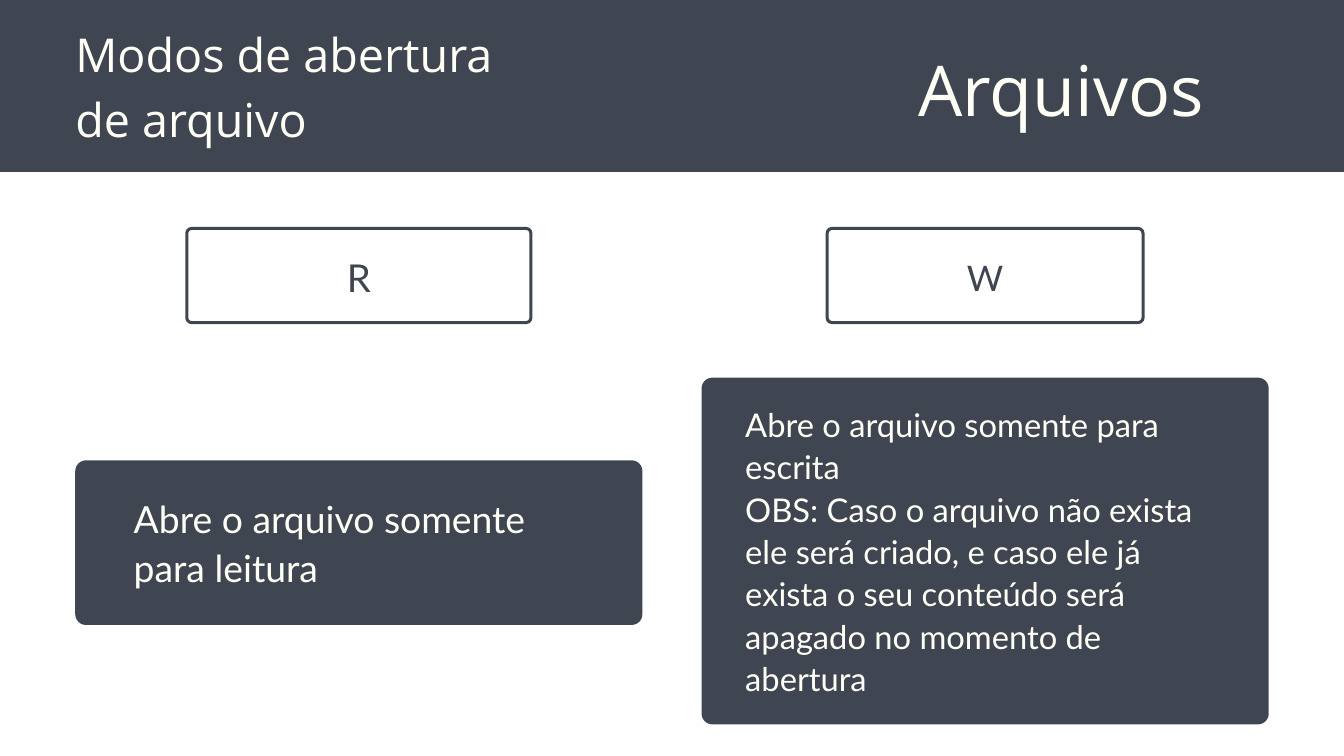
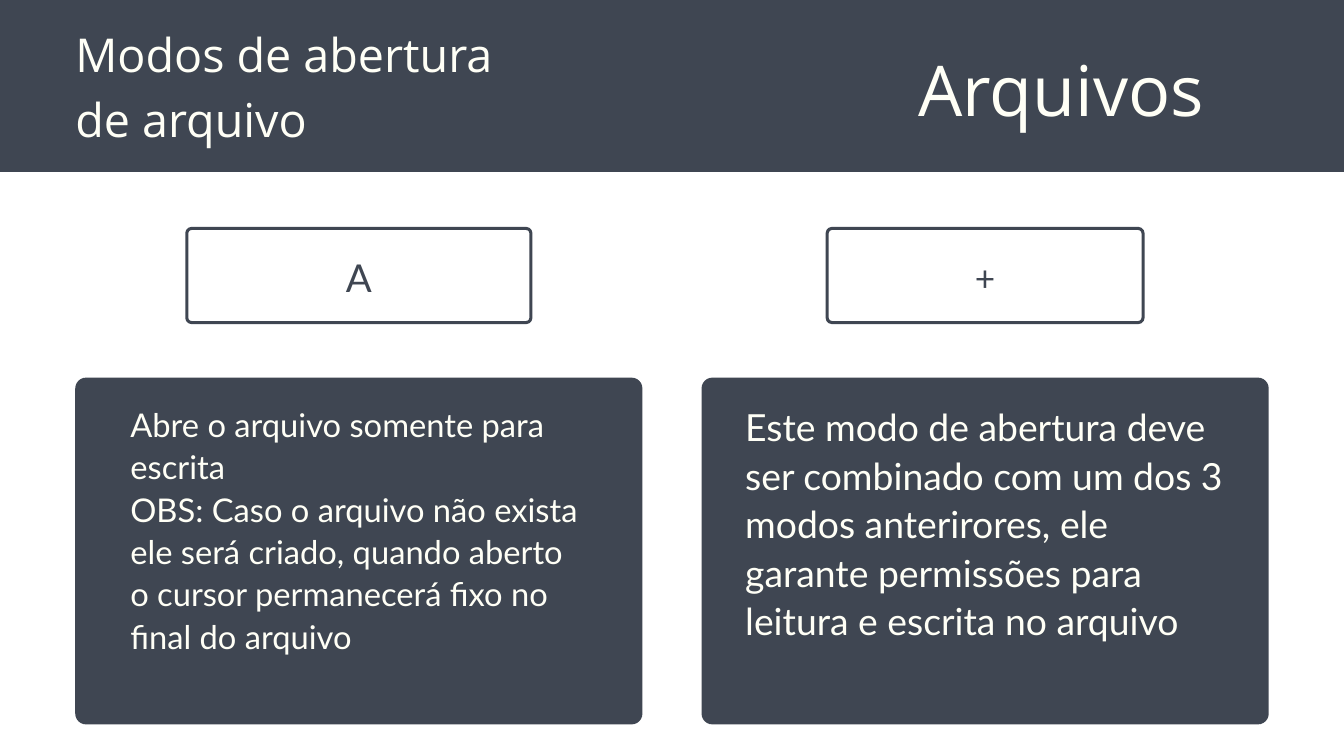
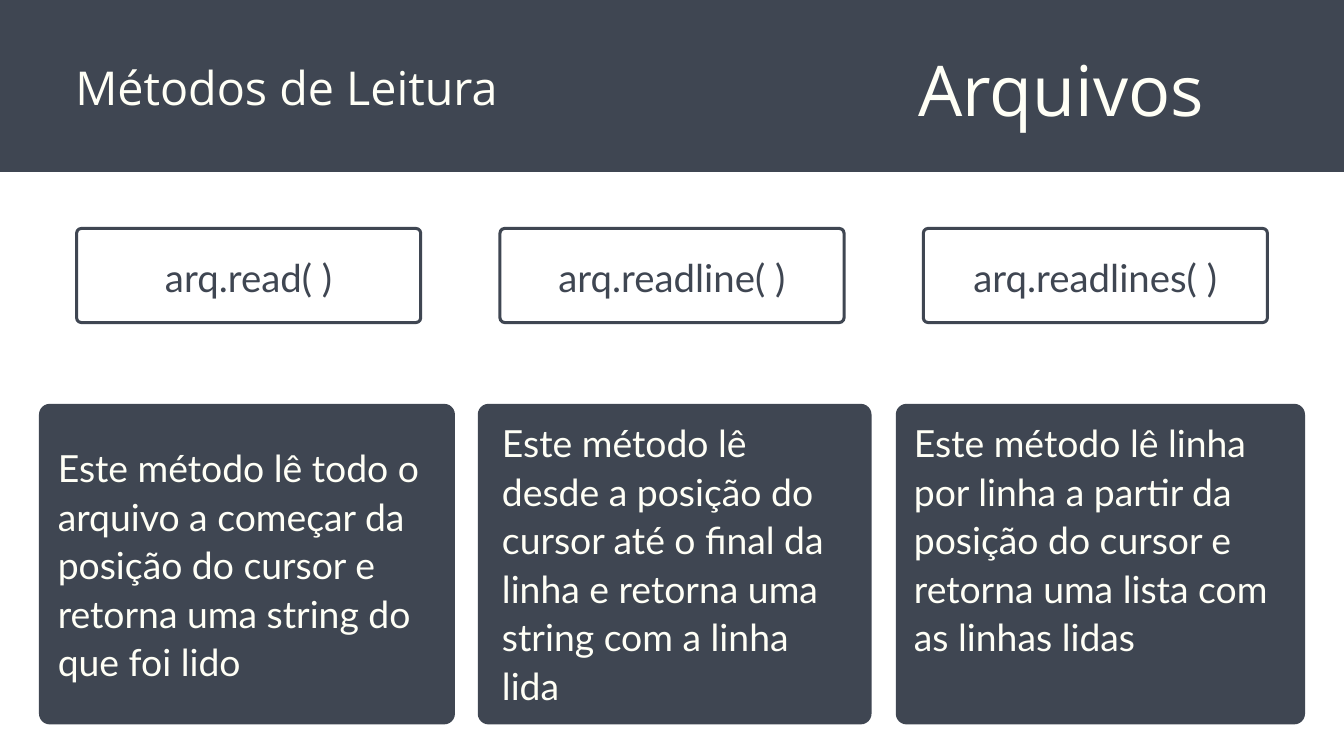
"""Build three slides on opening modes and reading methods for files."""
import pptx
import pptx.dml.color
import pptx.enum.shapes
import pptx.enum.text
import pptx.util

Inches = pptx.util.Inches
Anchor = pptx.enum.text.MSO_ANCHOR
Align = pptx.enum.text.PP_ALIGN
Preset = pptx.enum.shapes.MSO_SHAPE

SLATE = "3F4652"
IVORY = "FFFFF6"
HEADING_FONT = "Open Sans"
BODY_FONT = "Lato"
LABEL_TOP, LABEL_HEIGHT, LABEL_RADIUS = 3.4, 1.4, 0.07
CARD_BOTTOM, CARD_RADIUS = 10.78, 0.16
CORNER_INSET = 0.29 * CARD_RADIUS


def rgb(color):
    return pptx.dml.color.RGBColor.from_string(color)


def write(shape, paragraphs, font, size, color, spacing, align=Align.LEFT,
          anchor=Anchor.TOP, insets=(0, 0, 0, 0)):
    frame = shape.text_frame
    frame.word_wrap = True
    frame.auto_size = pptx.enum.text.MSO_AUTO_SIZE.NONE
    frame.vertical_anchor = anchor
    (frame.margin_left, frame.margin_top,
     frame.margin_right, frame.margin_bottom) = [Inches(inset) for inset in insets]
    for index, text in enumerate(paragraphs):
        paragraph = frame.add_paragraph() if index else frame.paragraphs[0]
        paragraph.alignment = align
        paragraph.line_spacing = pptx.util.Pt(round(size * spacing, 1))
        run = paragraph.add_run()
        run.text = text
        run.font.name = font
        run.font.size = pptx.util.Pt(size)
        run.font.color.rgb = rgb(color)


# label: text, left, width, size
# card: left, top, width, height; text: left, top, width, size
slides = [
    ("Modos de abertura de arquivo", [
        (("R", 2.78, 5.12, 41.1), (1.12, 6.85, 8.44, 2.45), (1.99, 7.33, 6.87, 40),
         ["Abre o arquivo somente para leitura"]),
        (("W", 12.31, 4.7, 37.7), (10.44, 5.62, 8.44, 5.16), (11.09, 5.97, 7.13, 35),
         ["Abre o arquivo somente para escrita",
          "OBS: Caso o arquivo não exista ele será criado, e caso ele já exista "
          "o seu conteúdo será apagado no momento de abertura"]),
    ]),
    ("Modos de abertura de arquivo", [
        (("A", 2.78, 5.12, 41.1), (1.12, 5.62, 8.44, 5.16), (1.94, 5.97, 6.8, 35),
         ["Abre o arquivo somente para escrita",
          "OBS: Caso o arquivo não exista ele será criado, quando aberto "
          "o cursor permanecerá fixo no final do arquivo"]),
        (("+", 12.31, 4.7, 37.7), (10.44, 5.62, 8.44, 5.16), (11.09, 5.96, 7.13, 40),
         ["Este modo de abertura deve ser combinado com um dos 3 modos anterirores, "
          "ele garante permissões para leitura e escrita no arquivo"]),
    ]),
    ("Métodos de Leitura", [
        (("arq.read( )", 1.14, 5.12, 41.1), (0.58, 6.01, 6.19, 4.77), (0.86, 6.57, 5.63, 40),
         ["Este método lê todo o arquivo a começar da posição do cursor e retorna "
          "uma string do que foi lido"]),
        (("arq.readline( )", 7.44, 5.12, 41.1), (7.11, 6.01, 5.86, 4.77), (7.47, 6.2, 5.16, 40),
         ["Este método lê desde a posição do cursor até o final da linha e retorna "
          "uma string com a linha lida"]),
        (("arq.readlines( )", 13.74, 5.12, 41.1), (13.33, 6.01, 6.09, 4.77), (13.6, 6.2, 5.38, 40),
         ["Este método lê linha por linha a partir da posição do cursor e retorna "
          "uma lista com as linhas lidas"]),
    ]),
]

presentation = pptx.Presentation()
presentation.slide_width = Inches(20)
presentation.slide_height = Inches(11.25)
title_only = presentation.slide_layouts[5]

for heading, topics in slides:
    slide = presentation.slides.add_slide(title_only)
    title = slide.shapes.title
    title.left, title.top = Inches(1.12), Inches(0.25)
    title.width, title.height = Inches(6.59), Inches(1.94)
    write(title, [heading], HEADING_FONT, 50, IVORY, 1.4, anchor=Anchor.MIDDLE)

    band = slide.shapes.add_shape(Preset.RECTANGLE, 0, 0, Inches(20), Inches(2.56))
    band.shadow.inherit = False
    band.fill.solid()
    band.fill.fore_color.rgb = rgb(SLATE)
    band.line.fill.background()
    title.element.addprevious(band.element)

    section = slide.shapes.add_textbox(Inches(12.98), Inches(0.49), Inches(5.63), Inches(1.42))
    write(section, ["Arquivos"], HEADING_FONT, 75, IVORY, 1.4, Align.CENTER)

    for (name, name_left, name_width, name_size), card_box, text_box, paragraphs in topics:
        label = slide.shapes.add_shape(
            Preset.ROUNDED_RECTANGLE, Inches(name_left), Inches(LABEL_TOP),
            Inches(name_width), Inches(LABEL_HEIGHT))
        label.adjustments[0] = LABEL_RADIUS / LABEL_HEIGHT
        label.shadow.inherit = False
        label.fill.background()
        label.line.color.rgb = rgb(SLATE)
        label.line.width = pptx.util.Pt(3.25)
        write(label, [name], BODY_FONT, name_size, SLATE, 1.3, Align.CENTER, Anchor.MIDDLE)

        left, top, width, height = card_box
        text_left, text_top, text_width, text_size = text_box
        card = slide.shapes.add_shape(
            Preset.ROUNDED_RECTANGLE, *[Inches(length) for length in card_box])
        card.adjustments[0] = CARD_RADIUS / min(width, height)
        card.shadow.inherit = False
        card.fill.solid()
        card.fill.fore_color.rgb = rgb(SLATE)
        card.line.fill.background()
        insets = (text_left - left - CORNER_INSET, text_top - top - CORNER_INSET,
                  left + width - text_left - text_width - CORNER_INSET, 0)
        write(card, paragraphs, BODY_FONT, text_size, IVORY, 1.3, insets=insets)

presentation.save("out.pptx")
